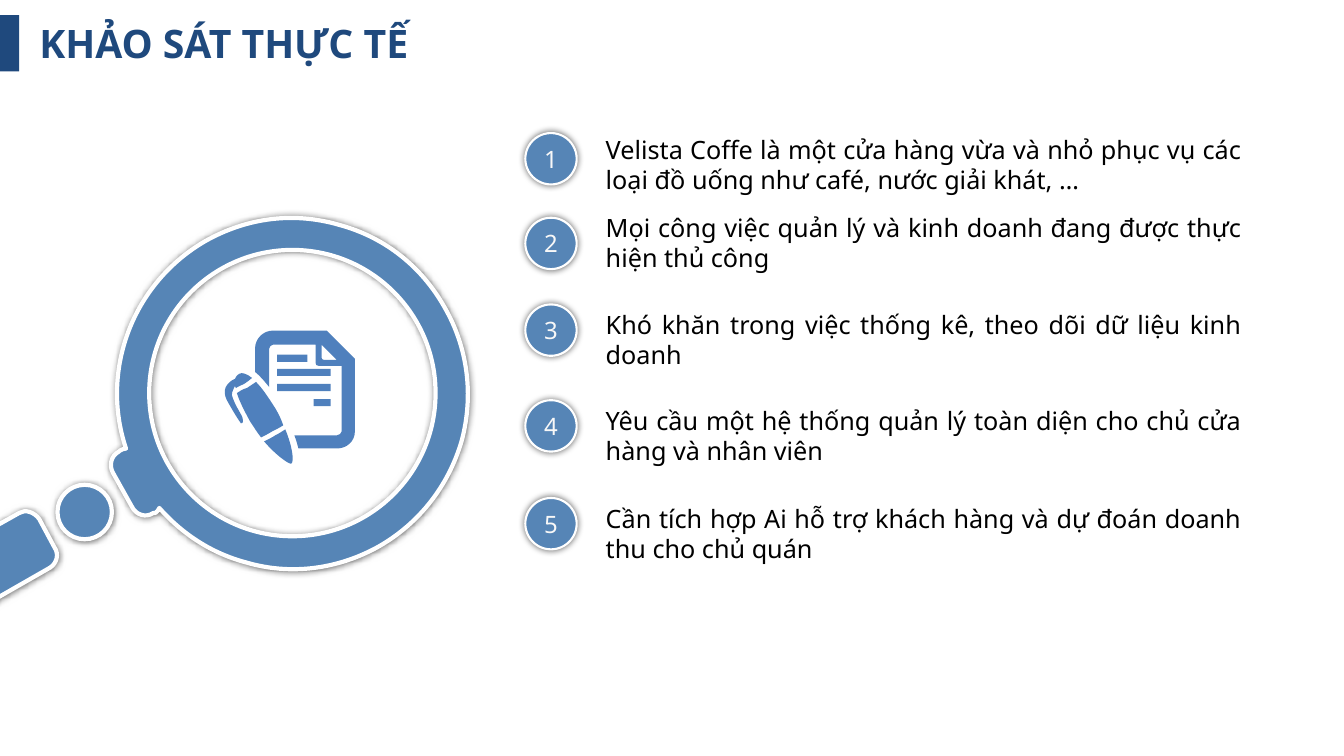
from dataclasses import dataclass

from lxml.etree import SubElement
from pptx import Presentation
from pptx.dml.color import RGBColor
from pptx.enum.shapes import MSO_SHAPE
from pptx.enum.text import MSO_ANCHOR, PP_ALIGN
from pptx.oxml.ns import qn
from pptx.shapes.autoshape import Shape
from pptx.shapes.shapetree import SlideShapes
from pptx.util import Inches, Pt

Point = tuple[float, float]


@dataclass(frozen=True)
class Theme:
    font: str = "Noto Sans"
    navy: RGBColor = RGBColor(0x1F, 0x49, 0x7D)
    steel: RGBColor = RGBColor(0x56, 0x85, 0xB6)
    icon: RGBColor = RGBColor(0x4F, 0x80, 0xBD)
    white: RGBColor = RGBColor(0xFF, 0xFF, 0xFF)
    digit: RGBColor = RGBColor(0xF8, 0xF8, 0xF8)
    body: RGBColor = RGBColor(0, 0, 0)
    title_size: float = 28
    body_size: float = 18
    digit_size: float = 17.1


@dataclass(frozen=True)
class Finding:
    badge_top: float
    text_top: float
    text: str


@dataclass(frozen=True)
class Step:
    """One piece of an outline: M starts, L draws a line, C a cubic curve."""
    command: str
    points: list[Point]


THEME = Theme()
BADGE_LEFT, BADGE_SIZE = 5.21, 0.51
TEXT_LEFT, TEXT_WIDTH, TEXT_HEIGHT = 5.91, 6.5, 0.7

FINDINGS = [
    Finding(1.32, 1.28, "Velista Coffe là một cửa hàng vừa và nhỏ phục vụ các loại đồ uống như café, nước giải khát, …"),
    Finding(2.16, 2.06, "Mọi công việc quản lý và kinh doanh đang được thực hiện thủ công"),
    Finding(3.02, 3.02, "Khó khăn trong việc thống kê, theo dõi dữ liệu kinh doanh"),
    Finding(3.97, 3.97, "Yêu cầu một hệ thống quản lý toàn diện cho chủ cửa hàng và nhân viên"),
    Finding(4.94, 4.94, "Cần tích hợp Ai hỗ trợ khách hàng và dự đoán doanh thu cho chủ quán"),
]

# Outlines in inches
HANDLE = """M -.63 5.55 C -.7 5.59 -.72 5.68 -.68 5.76 L -.52 6.03 C -.48 6.11 -.39 6.14 -.32 6.1
    L .5 5.63 C .56 5.59 .59 5.5 .54 5.43 L .39 5.15 C .34 5.08 .25 5.05 .19 5.09"""
RIM = """M 2.44 5.58 C 2.88 5.71 3.35 5.65 3.76 5.42 C 4.16 5.19 4.45 4.82 4.58 4.37
    C 4.7 3.92 4.64 3.45 4.41 3.05 C 4.18 2.64 3.81 2.35 3.36 2.23 C 2.91 2.1 2.45 2.16 2.04 2.39
    C 1.31 2.81 .99 3.68 1.25 4.45 C 1.23 4.45 1.21 4.46 1.19 4.47 L 1.18 4.48
    C 1.1 4.52 1.08 4.62 1.12 4.69 L 1.31 5.03 C 1.35 5.11 1.45 5.14 1.52 5.09 L 1.54 5.09
    C 1.56 5.08 1.57 5.06 1.58 5.04 C 1.81 5.3 2.1 5.49 2.44 5.58"""
PAGE_FOLD = "M 3.34 3.57 L 3.21 3.57 C 3.2 3.57 3.19 3.56 3.19 3.55 L 3.19 3.42"
PAGE = """M 3.24 3.28 L 2.71 3.28 C 2.61 3.28 2.53 3.36 2.53 3.46 L 2.53 3.69
    C 2.59 3.74 2.62 3.78 2.67 3.84 L 2.67 3.46 C 2.67 3.44 2.69 3.42 2.71 3.42 L 3.13 3.42
    L 3.13 3.6 C 3.13 3.62 3.14 3.63 3.16 3.63 L 3.39 3.63 L 3.39 4.28
    C 3.39 4.3 3.36 4.32 3.34 4.32 L 2.92 4.32 C 2.94 4.37 2.95 4.41 2.96 4.45 L 3.34 4.45
    C 3.44 4.45 3.52 4.38 3.52 4.28 L 3.52 3.56"""
PEN_TIP = """M 2.62 4.38 C 2.74 4.52 2.87 4.61 2.89 4.6 C 2.92 4.58 2.9 4.43 2.83 4.26
    C 2.8 4.28 2.77 4.3 2.73 4.32 C 2.7 4.34 2.66 4.36 2.62 4.38"""
PEN_BARREL = """M 2.35 3.9 C 2.37 3.97 2.42 4.07 2.48 4.18 C 2.52 4.24 2.55 4.29 2.59 4.34
    C 2.63 4.32 2.67 4.3 2.7 4.28 C 2.74 4.26 2.78 4.24 2.81 4.22
    C 2.79 4.16 2.76 4.1 2.73 4.05 C 2.66 3.94 2.6 3.85 2.54 3.79
    C 2.51 3.81 2.48 3.83 2.45 3.85 C 2.41 3.86 2.38 3.88 2.35 3.9"""
PEN_CAP = """M 2.37 3.71 C 2.35 3.72 2.34 3.74 2.33 3.76 C 2.3 3.77 2.26 3.8 2.24 3.84
    C 2.22 3.88 2.23 3.93 2.25 3.97 C 2.29 4.04 2.34 4.13 2.39 4.2
    C 2.42 4.21 2.41 4.15 2.4 4.13 C 2.37 4.07 2.33 4.02 2.3 3.92
    C 2.3 3.88 2.32 3.86 2.33 3.83 C 2.33 3.84 2.33 3.84 2.34 3.85
    C 2.36 3.84 2.39 3.82 2.42 3.81 C 2.45 3.79 2.48 3.77 2.5 3.75 C 2.45 3.71 2.4 3.69 2.37 3.71"""


def trace(outline: str) -> list[Step]:
    tokens = iter(outline.split())
    return [Step(command, [(float(next(tokens)), float(next(tokens)))
                           for _ in range(3 if command == "C" else 1)])
            for command in tokens]


def circle(x: float, y: float, radius: float) -> list[Step]:
    """Four quarter curves, each turned a right angle from the last."""
    pull = 0.5523 * radius
    steps = [Step("M", [(x + radius, y)])]
    dx, dy = 1, 0
    for _ in range(4):
        next_dx, next_dy = -dy, dx
        steps.append(Step("C", [
            (x + radius * dx + pull * next_dx, y + radius * dy + pull * next_dy),
            (x + radius * next_dx + pull * dx, y + radius * next_dy + pull * dy),
            (x + radius * next_dx, y + radius * next_dy)]))
        dx, dy = next_dx, next_dy
    return steps


def bar(left: float, top: float, right: float, height: float = 0.07) -> list[Step]:
    bottom = top + height
    return [Step("M", [(left, top)]), Step("L", [(right, top)]),
            Step("L", [(right, bottom)]), Step("L", [(left, bottom)])]


def draw_outline(shapes: SlideShapes, contours: list[list[Step]]) -> Shape:
    """Lay every point as a line, then join each curve's three points."""
    builder = None
    for contour in contours:
        start, *rest = [(Inches(x), Inches(y)) for step in contour for x, y in step.points]
        if builder is None:
            builder = shapes.build_freeform(*start)
        else:
            builder.move_to(*start)
        builder.add_line_segments(rest, close=True)
    shape = builder.convert_to_shape()
    nodes = shape._element.iter(qn("a:moveTo"), qn("a:lnTo"))
    segments = iter(list(nodes))
    for contour in contours:
        for step in contour:
            first, *others = [next(segments) for _ in step.points]
            if step.command == "C":
                curve = first.makeelement(qn("a:cubicBezTo"))
                first.addprevious(curve)
                for node in (first, *others):
                    curve.append(node[0])
                    node.getparent().remove(node)
    return shape


def paint(shape: Shape, fill: RGBColor, outline: float = 0) -> None:
    """Fill a shape; an outlined one gets a white edge and a soft shadow."""
    shape.shadow.inherit = False
    shape.fill.solid()
    shape.fill.fore_color.rgb = fill
    if not outline:
        shape.line.fill.background()
        return
    shape.line.color.rgb = THEME.white
    shape.line.width = Pt(outline)
    effects = shape._element.spPr.find(qn("a:effectLst"))
    glow = SubElement(effects, qn("a:outerShdw"), blurRad=str(Pt(5)), dist="0", dir="0")
    black = SubElement(glow, qn("a:srgbClr"), val="000000")
    SubElement(black, qn("a:alpha"), val="60000")


def write(shape: Shape, text: str, size: float, color: RGBColor, align: PP_ALIGN,
          anchor: MSO_ANCHOR = MSO_ANCHOR.TOP, bold: bool = False) -> None:
    frame = shape.text_frame
    frame.word_wrap = True
    frame.vertical_anchor = anchor
    paragraph = frame.paragraphs[0]
    paragraph.text = text
    paragraph.alignment = align
    paragraph.font.name = THEME.font
    paragraph.font.size = Pt(size)
    paragraph.font.bold = bold
    paragraph.font.color.rgb = color


def draw_finding(shapes: SlideShapes, number: int, finding: Finding) -> None:
    badge = shapes.add_shape(MSO_SHAPE.OVAL, Inches(BADGE_LEFT), Inches(finding.badge_top),
                             Inches(BADGE_SIZE), Inches(BADGE_SIZE))
    paint(badge, THEME.steel, outline=1.5)
    write(badge, str(number), THEME.digit_size, THEME.digit, PP_ALIGN.CENTER, MSO_ANCHOR.MIDDLE)
    statement = shapes.add_textbox(Inches(TEXT_LEFT), Inches(finding.text_top),
                                   Inches(TEXT_WIDTH), Inches(TEXT_HEIGHT))
    write(statement, finding.text, THEME.body_size, THEME.body, PP_ALIGN.JUSTIFY)


def main() -> None:
    deck = Presentation()
    deck.slide_width, deck.slide_height = Inches(13.33), Inches(7.5)
    shapes = deck.slides.add_slide(deck.slide_layouts[6]).shapes

    # Title with its accent block
    accent = shapes.add_shape(MSO_SHAPE.RECTANGLE, 0, Inches(0.15), Inches(0.19), Inches(0.56))
    paint(accent, THEME.navy)
    title = shapes.add_textbox(Inches(0.39), Inches(0.36), Inches(4.72), Inches(0.34))
    frame = title.text_frame
    frame.margin_left = frame.margin_right = frame.margin_top = frame.margin_bottom = 0
    write(title, "KHẢO SÁT THỰC TẾ", THEME.title_size, THEME.navy, PP_ALIGN.LEFT, bold=True)
    frame.paragraphs[0].line_spacing = 0.6

    # Magnifier: handle, rim, lens opening and joint
    magnifier = draw_outline(shapes, [trace(HANDLE), trace(RIM), circle(2.9, 3.9, 1.42),
                                      circle(0.84, 5.08, 0.27)])
    paint(magnifier, THEME.steel, outline=3)

    # Page and pen inside the lens
    page_lines = [bar(2.75, 3.52, 3.05), bar(2.75, 3.66, 3.28), bar(2.75, 3.81, 3.28), bar(3.11, 3.96, 3.28)]
    pen_and_page = [trace(part) for part in (PAGE, PAGE_FOLD, PEN_TIP, PEN_BARREL, PEN_CAP)]
    paint(draw_outline(shapes, pen_and_page + page_lines), THEME.icon)

    # Numbered findings
    for number, finding in enumerate(FINDINGS, start=1):
        draw_finding(shapes, number, finding)

    deck.save("out.pptx")


if __name__ == "__main__":
    main()
